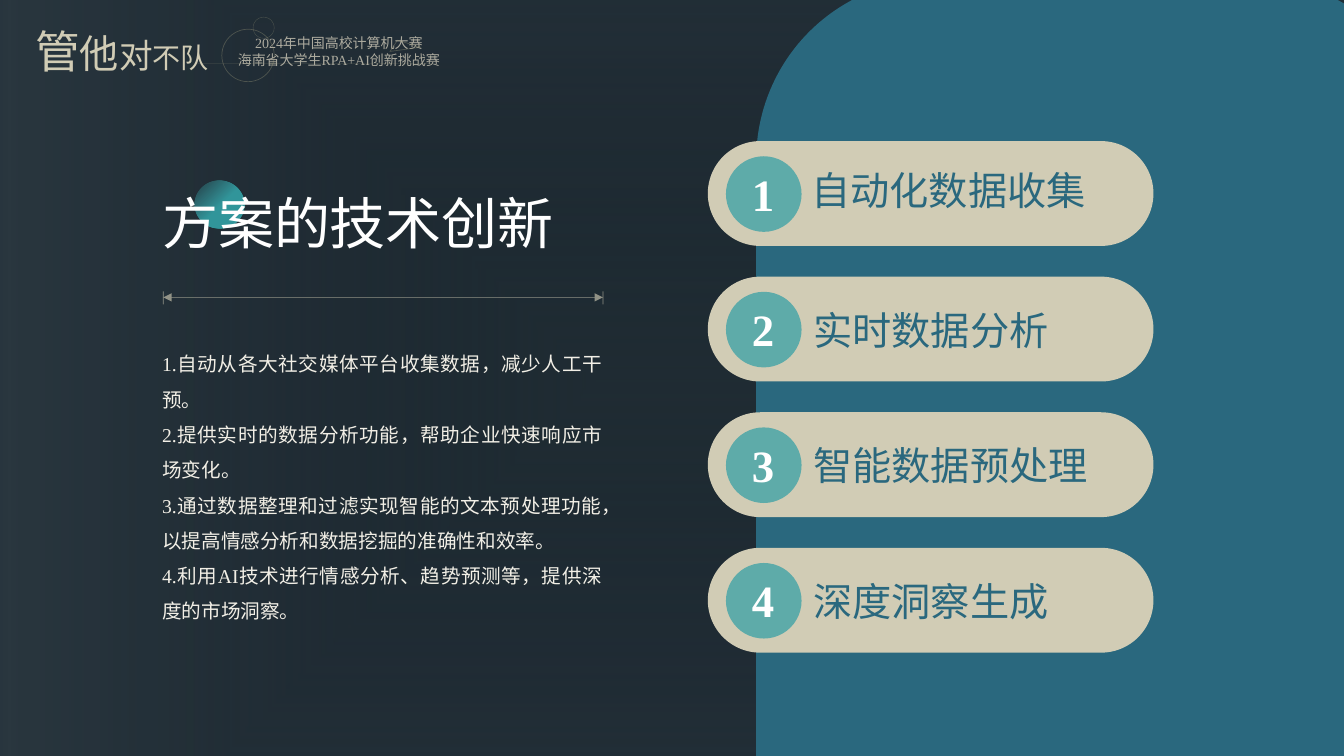
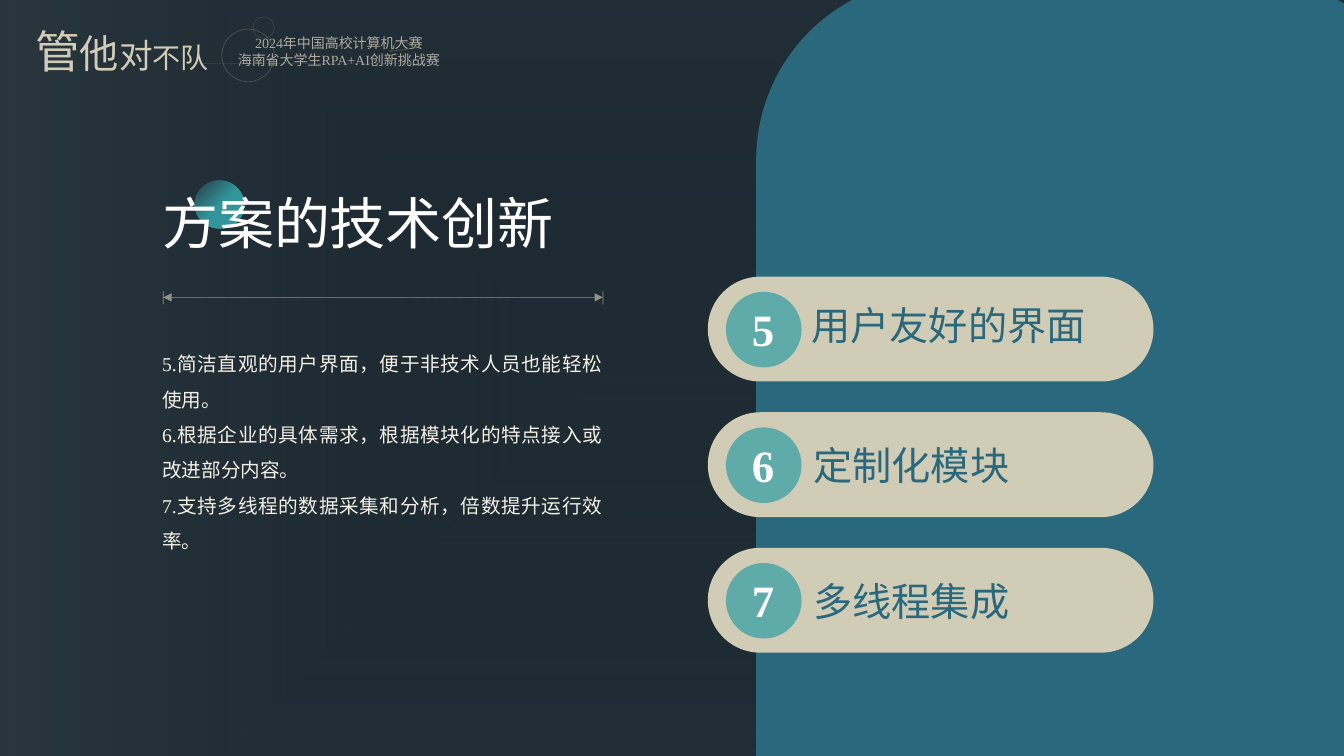
from dataclasses import dataclass
from typing import Optional, Union

from pptx import Presentation
from pptx.dml.color import RGBColor
from pptx.enum.shapes import MSO_CONNECTOR, MSO_SHAPE
from pptx.enum.text import MSO_AUTO_SIZE, PP_ALIGN
from pptx.oxml import parse_xml
from pptx.oxml.ns import nsdecls, qn
from pptx.oxml.xmlchemy import OxmlElement
from pptx.shapes.autoshape import Shape
from pptx.shapes.base import BaseShape
from pptx.shapes.connector import Connector
from pptx.shapes.group import GroupShape
from pptx.slide import Slide
from pptx.text.text import Font
from pptx.util import Inches, Pt

OVAL = MSO_SHAPE.OVAL
ROUNDED = MSO_SHAPE.ROUNDED_RECTANGLE
TRIANGLE = MSO_SHAPE.ISOSCELES_TRIANGLE
STRAIGHT = MSO_CONNECTOR.STRAIGHT
GROW = MSO_AUTO_SIZE.SHAPE_TO_FIT_TEXT
CENTER = PP_ALIGN.CENTER
JUSTIFY = PP_ALIGN.JUSTIFY

FONT = "Times New Roman"
NIGHT, SLATE, DEEP = "233036", "2A373F", "131D29"
BLUE, TEAL, SAND = "2A687E", "5EABA9", "D1CCB5"
CREAM, PALE, OLIVE, WHITE = "F2EFE6", "E2DBC7", "A29F7E", "FFFFFF"

TITLE = "方案的技术创新"
PILL_TOP, PILL_PITCH = 1.4, 1.345

Canvas = Union[Slide, GroupShape]


@dataclass(frozen=True)
class Area:
    left: float
    top: float
    width: float
    height: float

    def lengths(self) -> tuple:
        return tuple(Inches(n) for n in (self.left, self.top, self.width, self.height))


@dataclass(frozen=True)
class Stop:
    position: int
    color: str
    alpha: int = 100


@dataclass(frozen=True)
class Ornament:
    kind: int
    area: Area
    weight: float
    rotation: float = 0
    adjustment: Optional[float] = None


@dataclass(frozen=True)
class Topic:
    first_row: int
    first_number: int
    labels: tuple
    details: tuple
    text_height: float


ORNAMENTS = (
    Ornament(OVAL, Area(2.2, 0.29, 0.52, 0.52), 0.5),
    Ornament(OVAL, Area(2.51, 0.17, 0.21, 0.21), 0.25),
    Ornament(TRIANGLE, Area(3.86, 0.39, 0.31, 0.1), 0.5, 352.3, 0.284),
)
TOPICS = (
    Topic(0, 1,
          ("自动化数据收集", "实时数据分析", "智能数据预处理", "深度洞察生成"),
          ("1.自动从各大社交媒体平台收集数据，减少人工干预。",
           "2.提供实时的数据分析功能，帮助企业快速响应市场变化。",
           "3.通过数据整理和过滤实现智能的文本预处理功能，以提高情感分析和数据挖掘的准确性和效率。",
           "4.利用AI技术进行情感分析、趋势预测等，提供深度的市场洞察。"), 2.89),
    Topic(1, 5,
          ("用户友好的界面", "定制化模块", "多线程集成"),
          ("5.简洁直观的用户界面，便于非技术人员也能轻松使用。",
           "6.根据企业的具体需求，根据模块化的特点接入或改进部分内容。",
           "7.支持多线程的数据采集和分析，倍数提升运行效率。"), 2.18),
)


# Drawing helpers
def rgb(color: str) -> RGBColor:
    return RGBColor.from_string(color)


def fade(shape: BaseShape, percent: int) -> None:
    """Make every colour of a shape partly transparent."""
    for color in shape.element.iter(qn("a:srgbClr")):
        alpha = OxmlElement("a:alpha")
        alpha.set("val", str(percent * 1000))
        color.append(alpha)


def add_shape(canvas: Canvas, kind: int, area: Area, color: Optional[str] = None,
              adjustment: Optional[float] = None) -> Shape:
    shape = canvas.shapes.add_shape(kind, *area.lengths())
    shape.shadow.inherit = False
    shape.line.fill.background()
    if color:
        shape.fill.solid()
        shape.fill.fore_color.rgb = rgb(color)
    if adjustment is not None:
        shape.adjustments[0] = adjustment
    return shape


def add_glow(page: Slide, area: Area, stops: tuple, spread: str, focus: tuple) -> Shape:
    """Add an ellipse whose gradient spreads out from a focus."""
    shape = add_shape(page, OVAL, area)
    marks = "".join(
        f'<a:gs pos="{stop.position * 1000}"><a:srgbClr val="{stop.color}">'
        f'<a:alpha val="{stop.alpha * 1000}"/></a:srgbClr></a:gs>' for stop in stops)
    sides = " ".join(f'{side}="{percent * 1000}"' for side, percent in zip("ltrb", focus))
    gradient = parse_xml(
        f'<a:gradFill {nsdecls("a")} rotWithShape="1"><a:gsLst>{marks}</a:gsLst>'
        f'<a:path path="{spread}"><a:fillToRect {sides}/></a:path></a:gradFill>')
    shape.element.spPr.find(qn("a:prstGeom")).addnext(gradient)
    return shape


def add_line(canvas: Canvas, start: tuple, end: tuple, color: str, alpha: int,
             arrows: bool = False) -> Connector:
    ends = [Inches(n) for n in (*start, *end)]
    line = canvas.shapes.add_connector(STRAIGHT, *ends)
    line.line.color.rgb = rgb(color)
    line.line.width = Pt(0.5)
    fade(line, alpha)
    properties = line.element.spPr
    if arrows:
        for tag in ("a:headEnd", "a:tailEnd"):
            tip = OxmlElement(tag)
            tip.set("type", "triangle")
            properties.find(qn("a:ln")).append(tip)
    properties.append(OxmlElement("a:effectLst"))
    return line


def style(font: Font, size: float, color: str, bold: bool = False) -> None:
    font.name = FONT
    font.size = Pt(size)
    font.bold = bold
    font.color.rgb = rgb(color)


def add_text(canvas: Canvas, area: Area, lines: tuple, size: float, color: str,
             bold: bool = False, align: Optional[int] = None,
             spacing: Optional[float] = None, wrap: bool = False) -> Shape:
    box = canvas.shapes.add_textbox(*area.lengths())
    frame = box.text_frame
    frame.word_wrap = wrap
    frame.auto_size = GROW
    for index, line in enumerate(lines):
        para = frame.paragraphs[0] if index == 0 else frame.add_paragraph()
        para.text = line
        para.alignment = align
        para.line_spacing = spacing
        style(para.font, size, color, bold)
    return box


# Parts shared by the slides
def draw_header(page: Slide) -> None:
    add_glow(page, Area(-2.43, -4.59, 20.46, 16.73),
             (Stop(0, DEEP, 20), Stop(70, SLATE), Stop(86, DEEP)),
             "shape", (50, 50, 50, 50))
    contest = add_text(page, Area(2.2, 0.29, 2.32, 0.44),
                       ("2024年中国高校计算机大赛", "海南省大学生RPA+AI创新挑战赛"),
                       10, PALE, align=CENTER, wrap=True)
    fade(contest, 73)
    add_line(page, (1.94, 0.63), (4.29, 0.63), OLIVE, 12)
    for ornament in ORNAMENTS:
        shape = add_shape(page, ornament.kind, ornament.area,
                          adjustment=ornament.adjustment)
        shape.fill.background()
        shape.line.color.rgb = rgb(OLIVE)
        shape.line.width = Pt(ornament.weight)
        shape.rotation = ornament.rotation
        fade(shape, 35)

    # Team name in shrinking letters
    team = add_text(page, Area(0.25, 0.19, 1.94, 0.64), ("",), 32, SAND)
    para = team.text_frame.paragraphs[0]
    for letters, size in (("管", 32), ("他", 28), ("对", 24), ("不队", 20)):
        span = para.add_run()
        span.text = letters
        span.font.size = Pt(size)


def draw_title(page: Slide) -> None:
    left, right, middle = 1.62, 5.98, 2.95
    rule = page.shapes.add_group_shape()
    add_line(rule, (left, middle), (right, middle), SAND, 63, arrows=True)
    for x in (left, right):
        add_line(rule, (x, 2.89), (x, 3.02), SAND, 63)

    title = add_text(page, Area(1.51, 1.82, 4.13, 0.77), (TITLE,), 40, WHITE)
    fill = title.text_frame.paragraphs[0].font.fill
    fill.gradient()
    fill.gradient_angle = 275
    for mark, stop in zip(fill.gradient_stops, (Stop(31, WHITE), Stop(100, SAND))):
        mark.position = stop.position / 100
        mark.color.rgb = rgb(stop.color)


# One numbered pill
def draw_pill(page: Slide, top: float, number: int, label: str, leading: bool) -> None:
    pill = page.shapes.add_group_shape()
    add_shape(pill, ROUNDED, Area(7.02, top, 4.42, 1.04), SAND, 0.5)
    add_shape(pill, OVAL, Area(7.2, top + 0.15, 0.75, 0.75), TEAL)
    add_text(pill, Area(7.36, top + 0.2, 0.43, 0.64), (str(number),), 32, WHITE, bold=True)
    left, drop = (7.95, 0.2) if leading else (7.97, 0.24)
    width = 0.22 + 0.39 * len(label)
    add_text(pill, Area(left, top + drop, width, 0.57), (label,), 28, BLUE)


def draw_topic(page: Slide, topic: Topic) -> None:
    draw_header(page)
    dot = add_glow(page, Area(1.93, 1.79, 0.49, 0.48),
                   (Stop(48, "33979C"), Stop(100, "37969B", 0)),
                   "circle", (100, 100, 0, 0))
    dot.rotation = 9.7
    add_text(page, Area(1.51, 3.33, 4.56, topic.text_height), topic.details, 14, CREAM,
             align=JUSTIFY, spacing=1.5, wrap=True)
    draw_title(page)
    add_shape(page, ROUNDED, Area(7.5, -0.21, 6.72, 9.86), BLUE, 0.267)
    for index, label in enumerate(topic.labels):
        top = PILL_TOP + PILL_PITCH * (topic.first_row + index)
        draw_pill(page, top, topic.first_number + index, label, index == 0)


def main() -> None:
    deck = Presentation()
    deck.slide_width, deck.slide_height = Inches(13.33), Inches(7.5)
    backdrop = deck.slide_master.background.fill
    backdrop.solid()
    backdrop.fore_color.rgb = rgb(NIGHT)
    for topic in TOPICS:
        draw_topic(deck.slides.add_slide(deck.slide_layouts[6]), topic)
    deck.save("out.pptx")


if __name__ == "__main__":
    main()
